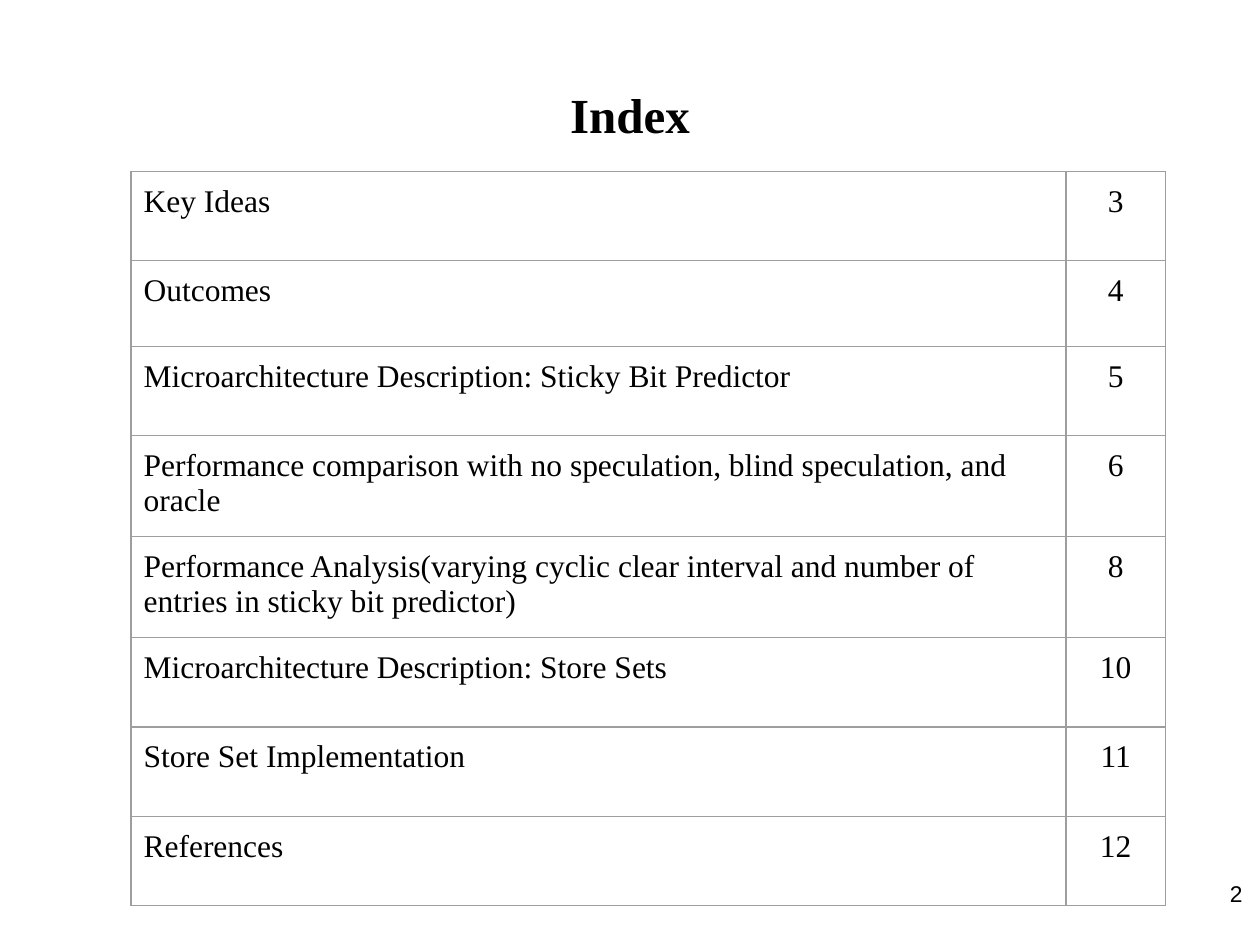
from lxml.etree import SubElement
from pptx import Presentation
from pptx.dml.color import RGBColor
from pptx.enum.text import MSO_ANCHOR as Anchor, PP_ALIGN as Align
from pptx.oxml.ns import qn
from pptx.util import Inches, Pt

COLORS = {"text": "000000", "border": "9E9E9E", "background": "FFFFFF"}
SERIF = "Times New Roman"
TOPICS = [
    ("Key Ideas", 3),
    ("Outcomes", 4),
    ("Microarchitecture Description: Sticky Bit Predictor", 5),
    ("Performance comparison with no speculation, blind speculation, and oracle", 6),
    ("Performance Analysis(varying cyclic clear interval and number of entries"
     " in sticky bit predictor)", 8),
    ("Microarchitecture Description: Store Sets", 10),
    ("Store Set Implementation", 11),
    ("References", 12),
]


def write_text(frame, text, *, size=18, font=SERIF, bold=False,
               align=Align.LEFT, anchor=Anchor.TOP):
    """Write one formatted paragraph into a text frame."""
    frame.word_wrap = True
    frame.vertical_anchor = anchor
    paragraph = frame.paragraphs[0]
    paragraph.alignment = align
    run = paragraph.add_run()
    run.text = text
    run.font.name = font
    run.font.size = Pt(size)
    run.font.bold = bold
    run.font.color.rgb = RGBColor.from_string(COLORS["text"])


def add_borders(cell):
    """Draw a thin line on all four sides of a cell."""
    properties = cell._tc.get_or_add_tcPr()
    for position, side in enumerate(("lnL", "lnR", "lnT", "lnB")):
        line = SubElement(properties, qn(f"a:{side}"), w=str(Pt(0.75)))
        fill = SubElement(line, qn("a:solidFill"))
        SubElement(fill, qn("a:srgbClr"), val=COLORS["border"])
        properties.insert(position, line)


def place_title(slide, left, top, width, height):
    """Place the heading in the title placeholder."""
    title = slide.shapes.title
    title.left, title.top, title.width, title.height = left, top, width, height
    write_text(title.text_frame, "Index", size=28, bold=True,
               align=Align.CENTER, anchor=Anchor.MIDDLE)


def place_index(slide, left, top, width, height):
    """Place the table of topics and their page numbers."""
    page_width = Inches(0.79)
    index = slide.shapes.add_table(len(TOPICS), 2, left, top, width, height).table
    index.first_row = index.horz_banding = False
    index.columns[0].width = width - page_width
    index.columns[1].width = page_width
    for number, entry in enumerate(TOPICS):
        index.rows[number].height = Inches(0.68 if number == 1 else 0.71)
        for cell, value, align in zip(index.rows[number].cells, entry,
                                      (Align.LEFT, Align.CENTER)):
            cell.margin_left = cell.margin_right = Inches(0.1)
            cell.margin_top = cell.margin_bottom = Inches(0.1)
            cell.fill.background()
            add_borders(cell)
            write_text(cell.text_frame, str(value), align=align)


def place_page_number(slide, left, top, width, height):
    """Place the slide's page number in the corner."""
    page_number = slide.shapes.add_textbox(left, top, width, height)
    write_text(page_number.text_frame, "2", size=13, font="Arial", align=Align.RIGHT)


def main():
    """Build the index slide and save it."""
    deck = Presentation()
    deck.slide_width, deck.slide_height = Inches(10), Inches(7.5)
    slide = deck.slides.add_slide(deck.slide_layouts[5])
    slide.background.fill.solid()
    slide.background.fill.fore_color.rgb = RGBColor.from_string(COLORS["background"])
    place_title(slide, Inches(0.5), Inches(0.32), Inches(9), Inches(1.17))
    place_page_number(slide, Inches(9.36), Inches(6.93), Inches(0.6), Inches(0.57))
    place_index(slide, Inches(1.04), Inches(1.36), Inches(8.21), Inches(5.65))
    deck.save("out.pptx")


if __name__ == "__main__":
    main()
